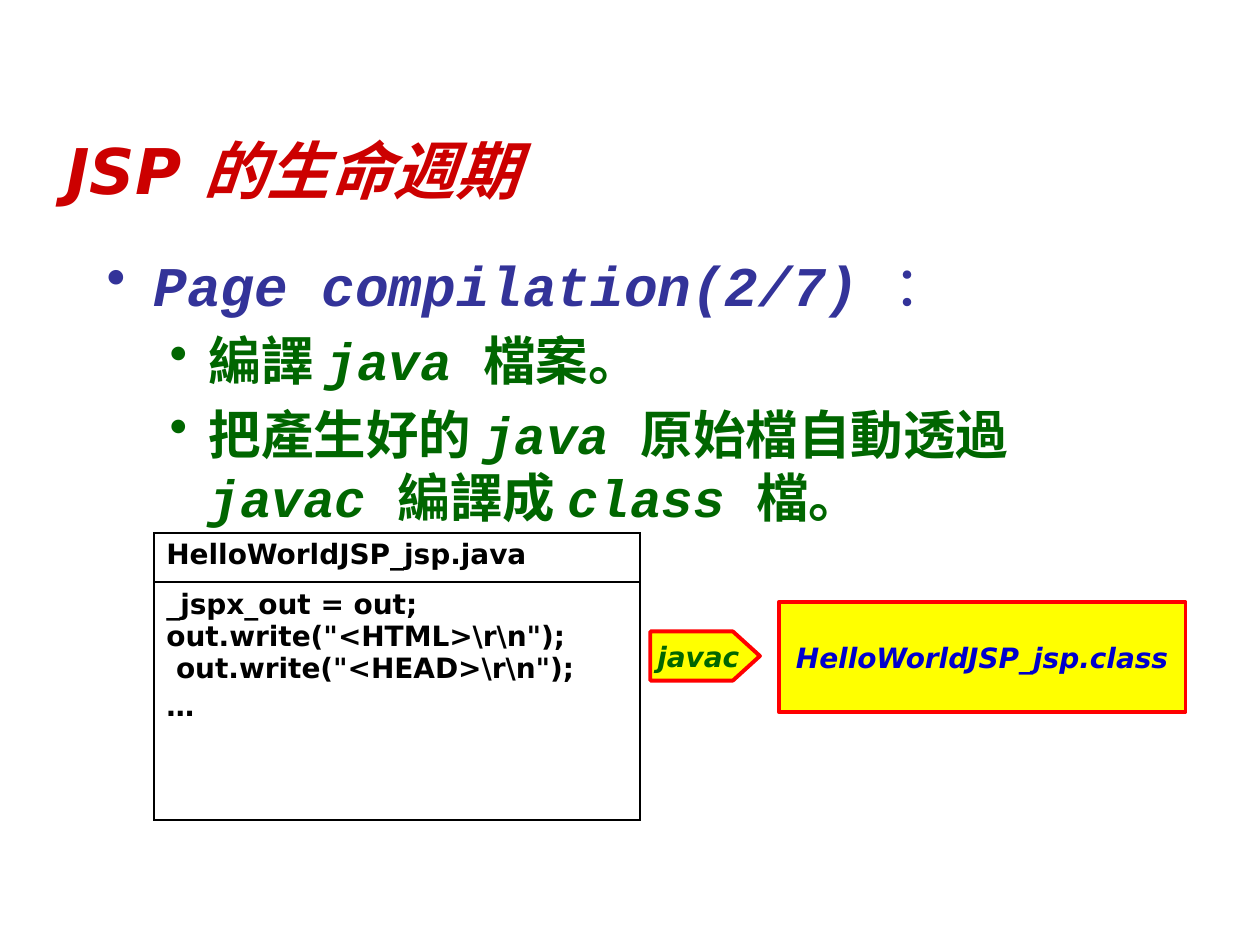
from typing import NamedTuple

from lxml.etree import SubElement
from pptx import Presentation
from pptx.dml.color import RGBColor
from pptx.enum.shapes import MSO_SHAPE
from pptx.enum.text import MSO_ANCHOR, PP_ALIGN
from pptx.oxml.ns import qn
from pptx.util import Cm, Pt

RED = RGBColor(0xCC, 0x00, 0x00)
INDIGO = RGBColor(0x33, 0x33, 0x99)
GREEN = RGBColor(0x00, 0x66, 0x00)
BLUE = RGBColor(0x00, 0x00, 0xCC)
BLACK = RGBColor(0x00, 0x00, 0x00)
YELLOW = RGBColor(0xFF, 0xFF, 0x00)
OUTLINE_RED = RGBColor(0xFF, 0x00, 0x00)

SANS = "DejaVu Sans"
MONO = "Courier New"


class Box(NamedTuple):
    left: float
    top: float
    width: float
    height: float

    def lengths(self):
        return [Cm(value) for value in self]


class Style(NamedTuple):
    font: str
    size: int
    color: RGBColor


class Piece(NamedTuple):
    text: str
    bold: bool = True
    italic: bool = False


class Bullet(NamedTuple):
    level: int
    margin: float
    hanging: float
    style: Style
    pieces: list[Piece]


class Step(NamedTuple):
    kind: MSO_SHAPE
    box: Box
    text: str
    color: RGBColor


HEADING = Style(MONO, 32, INDIGO)
DETAIL = Style(MONO, 30, GREEN)
CODE = Style(SANS, 16, BLACK)

BULLETS = [
    Bullet(0, 0.95, 0.95, HEADING, [
        Piece("Page compilation(2/7) ", italic=True), Piece("：", bold=False)]),
    Bullet(1, 2.06, 0.79, DETAIL, [
        Piece("編譯 "), Piece("java ", italic=True), Piece("檔案。")]),
    Bullet(1, 2.06, 0.79, DETAIL, [
        Piece("把產生好的 "), Piece("java ", italic=True), Piece("原始檔自動透過 "),
        Piece("javac ", italic=True), Piece("編譯成 "),
        Piece("class ", italic=True), Piece("檔。")]),
]

# Each cell is a list of paragraphs, each paragraph a list of lines.
SOURCE_CELLS = [
    [["HelloWorldJSP_jsp.java"]],
    [["_jspx_out = out;", 'out.write("<HTML>\\r\\n");', ' out.write("<HEAD>\\r\\n");'],
     ["…"]],
]
ROW_HEIGHTS = [0.99, 4.8]

STEPS = [
    Step(MSO_SHAPE.RECTANGLE, Box(15.7, 12.14, 8.2, 2.21), "HelloWorldJSP_jsp.class", BLUE),
    Step(MSO_SHAPE.PENTAGON, Box(13.11, 12.73, 2.21, 0.99), "javac", GREEN),
]


def add_run(paragraph, piece: Piece, style: Style) -> None:
    run = paragraph.add_run()
    run.text = piece.text
    run.font.name = style.font
    run.font.size = Pt(style.size)
    run.font.color.rgb = style.color
    run.font.bold = piece.bold
    run.font.italic = piece.italic


def next_paragraph(text_frame, index: int, size: int):
    """Return the paragraph at index, spaced by a fifth of its size after the first."""
    if index == 0:
        return text_frame.paragraphs[0]
    paragraph = text_frame.add_paragraph()
    paragraph.space_before = Pt(size * 0.2)
    return paragraph


def add_text_frame(slide, box: Box):
    text_frame = slide.shapes.add_textbox(*box.lengths()).text_frame
    text_frame.word_wrap = True
    return text_frame


def add_title(slide) -> None:
    text_frame = add_text_frame(slide, Box(1.09, 2.31, 22.86, 2.21))
    text_frame.vertical_anchor = MSO_ANCHOR.MIDDLE
    paragraph = text_frame.paragraphs[0]
    add_run(paragraph, Piece("JSP ", italic=True), Style(SANS, 36, RED))
    add_run(paragraph, Piece("的生命週期", italic=True), Style(MONO, 36, RED))


def add_bullets(slide, bullets: list[Bullet]) -> None:
    text_frame = add_text_frame(slide, Box(1.9, 4.93, 21.6, 5.61))
    for index, bullet in enumerate(bullets):
        paragraph = next_paragraph(text_frame, index, bullet.style.size)
        paragraph.level = bullet.level
        properties = paragraph._p.get_or_add_pPr()
        properties.set("marL", str(Cm(bullet.margin)))
        properties.set("indent", str(-Cm(bullet.hanging)))
        SubElement(properties, qn("a:buChar"), char="•")
        for piece in bullet.pieces:
            add_run(paragraph, piece, bullet.style)


def add_cell_borders(cell) -> None:
    properties = cell._tc.get_or_add_tcPr()
    for side in ("lnL", "lnR", "lnT", "lnB"):
        line = SubElement(properties, qn(f"a:{side}"), w=str(Pt(1)))
        fill = SubElement(line, qn("a:solidFill"))
        SubElement(fill, qn("a:srgbClr"), val=str(BLACK))


def add_source_table(slide) -> None:
    box = Box(3.1, 10.74, 9.8, sum(ROW_HEIGHTS))
    table = slide.shapes.add_table(len(SOURCE_CELLS), 1, *box.lengths()).table
    table.first_row = False
    table.horz_banding = False
    for row_index, (height, paragraphs) in enumerate(zip(ROW_HEIGHTS, SOURCE_CELLS)):
        table.rows[row_index].height = Cm(height)
        cell = table.cell(row_index, 0)
        add_cell_borders(cell)
        cell.fill.background()
        for index, lines in enumerate(paragraphs):
            paragraph = next_paragraph(cell.text_frame, index, CODE.size)
            for line_index, line in enumerate(lines):
                if line_index:
                    paragraph.add_line_break()
                add_run(paragraph, Piece(line), CODE)


def add_step(slide, step: Step) -> None:
    shape = slide.shapes.add_shape(step.kind, *step.box.lengths())
    if step.kind == MSO_SHAPE.PENTAGON:
        shape.adjustments[0] = 0.55
    shape.shadow.inherit = False
    shape.fill.solid()
    shape.fill.fore_color.rgb = YELLOW
    shape.line.color.rgb = OUTLINE_RED
    shape.line.width = Pt(2.25)
    text_frame = shape.text_frame
    text_frame.word_wrap = False
    text_frame.vertical_anchor = MSO_ANCHOR.MIDDLE
    paragraph = text_frame.paragraphs[0]
    paragraph.alignment = PP_ALIGN.CENTER
    add_run(paragraph, Piece(step.text, italic=True), Style(SANS, 16, step.color))


def main() -> None:
    presentation = Presentation()
    presentation.slide_width = Cm(25.4)
    presentation.slide_height = Cm(19.05)
    slide = presentation.slides.add_slide(presentation.slide_layouts[6])
    add_title(slide)
    add_bullets(slide, BULLETS)
    add_source_table(slide)
    for step in STEPS:
        add_step(slide, step)
    presentation.save("out.pptx")


if __name__ == "__main__":
    main()
